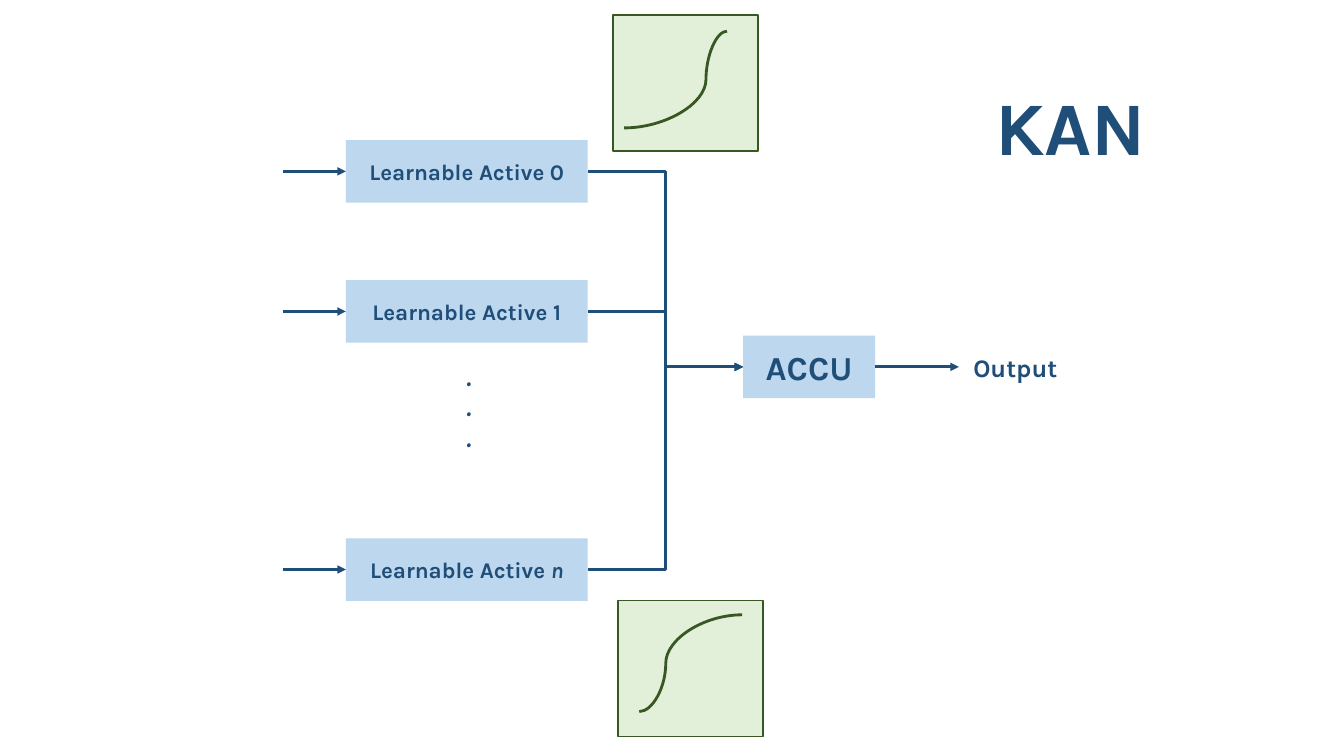
from lxml import etree
from pptx import Presentation
from pptx.dml.color import RGBColor
from pptx.enum.shapes import MSO_CONNECTOR, MSO_SHAPE
from pptx.enum.text import MSO_ANCHOR, PP_ALIGN
from pptx.oxml.ns import qn
from pptx.util import Inches, Pt

RECT = MSO_SHAPE.RECTANGLE
LINE, BENT, CURVE = MSO_CONNECTOR.STRAIGHT, MSO_CONNECTOR.ELBOW, MSO_CONNECTOR.CURVE
MID, CENTER = MSO_ANCHOR.MIDDLE, PP_ALIGN.CENTER

# Content: each paragraph is a list of (text, italic) runs
FONT = "Karla"
HUES = {"ink": "1F4E79", "node": "BDD7EE", "plot": "E2F0D9", "curve": "385723"}
UNITS = [  # top of the box, label
    (1.39, [("Learnable Active 0", False)]),
    (2.78, [("Learnable Active 1", False)]),
    (5.34, [("Learnable Active ", False), ("n", True)]),
]
DOTS = [[(".", True)]] * 3
PLOTS = [  # panel left and top, curve start, bend share
    (6.13, 5.96, 6.34, 7.06, 0.258),
    (6.08, 0.15, 6.19, 1.27, 0.796),
]

# Columns and sizes in inches
WIDE, HIGH = 13.33, 7.5
IN_X, UNIT_X, UNIT_W, BOX_H = 2.81, 3.43, 2.4, 0.62
ACCU_X, ACCU_Y, ACCU_W = 7.37, 3.33, 1.31
OUT_X, OUT_W = 9.51, 1.12
PLOT_W, PLOT_H = 1.44, 1.35
RUN, RISE = 1.02, 0.96

deck = Presentation()
deck.slide_width, deck.slide_height = Inches(WIDE), Inches(HIGH)
slide = deck.slides.add_slide(deck.slide_layouts[6])
shapes = slide.shapes


def hue(name):
    return RGBColor.from_string(HUES[name])


def write(shape, paras, size=16):
    frame = shape.text_frame
    frame.word_wrap = True
    frame.vertical_anchor = MID
    for i, runs in enumerate(paras):
        para = frame.paragraphs[0] if i == 0 else frame.add_paragraph()
        para.alignment = CENTER
        for text, slant in runs:
            run = para.add_run()
            run.text = text
            font = run.font
            font.name, font.size, font.bold = FONT, Pt(size), True
            font.color.rgb = hue("ink")
            if slant:
                font.italic = True


def label(x, y, w, h, paras, size):
    write(shapes.add_textbox(*map(Inches, (x, y, w, h))), paras, size)


def box(x, y, w, h, fill, edge=None):
    shape = shapes.add_shape(RECT, *map(Inches, (x, y, w, h)))
    shape.shadow.inherit = False
    shape.fill.solid()
    shape.fill.fore_color.rgb = hue(fill)
    if edge:
        shape.line.color.rgb = hue(edge)
        shape.line.width = Pt(1)
    else:
        shape.line.fill.background()
    return shape


def link(kind, x1, y1, x2, y2, color="ink", arrow=True, bend=None):
    wire = shapes.add_connector(kind, *map(Inches, (x1, y1, x2, y2)))
    wire.line.color.rgb = hue(color)
    wire.line.width = Pt(2)
    props = wire.element.spPr
    if arrow:
        etree.SubElement(props.find(qn("a:ln")), qn("a:tailEnd"), type="triangle")
    if bend is not None:
        guides = props.find(qn("a:prstGeom")).find(qn("a:avLst"))
        etree.SubElement(guides, qn("a:gd"), name="adj1",
                         fmla=f"val {round(bend * 100000)}")
    etree.SubElement(props, qn("a:effectLst"))


# Learnable units, each wired to the accumulator
accu_mid = ACCU_Y + BOX_H / 2
for top, runs in UNITS:
    mid = top + BOX_H / 2
    write(box(UNIT_X, top, UNIT_W, BOX_H, "node"), [runs])
    link(LINE, IN_X, mid, UNIT_X, mid)
    link(BENT, UNIT_X + UNIT_W, mid, ACCU_X, accu_mid, bend=0.5)
label(3.45, 3.52, UNIT_W, 1.03, DOTS, 18)

# Accumulator, output and title
write(box(ACCU_X, ACCU_Y, ACCU_W, BOX_H, "node"), [[("ACCU", False)]], 24)
link(LINE, ACCU_X + ACCU_W, accu_mid, OUT_X, accu_mid)
label(OUT_X, ACCU_Y, OUT_W, BOX_H, [[("Output", False)]], 18)
label(9.37, 0.75, 2.5, 0.99, [[("KAN", False)]], 54)

# Activation curves on their panels
for left, top, x, y, bend in PLOTS:
    box(left, top, PLOT_W, PLOT_H, "plot", "curve")
    link(CURVE, x, y, x + RUN, y - RISE, "curve", arrow=False, bend=bend)

deck.save("out.pptx")
